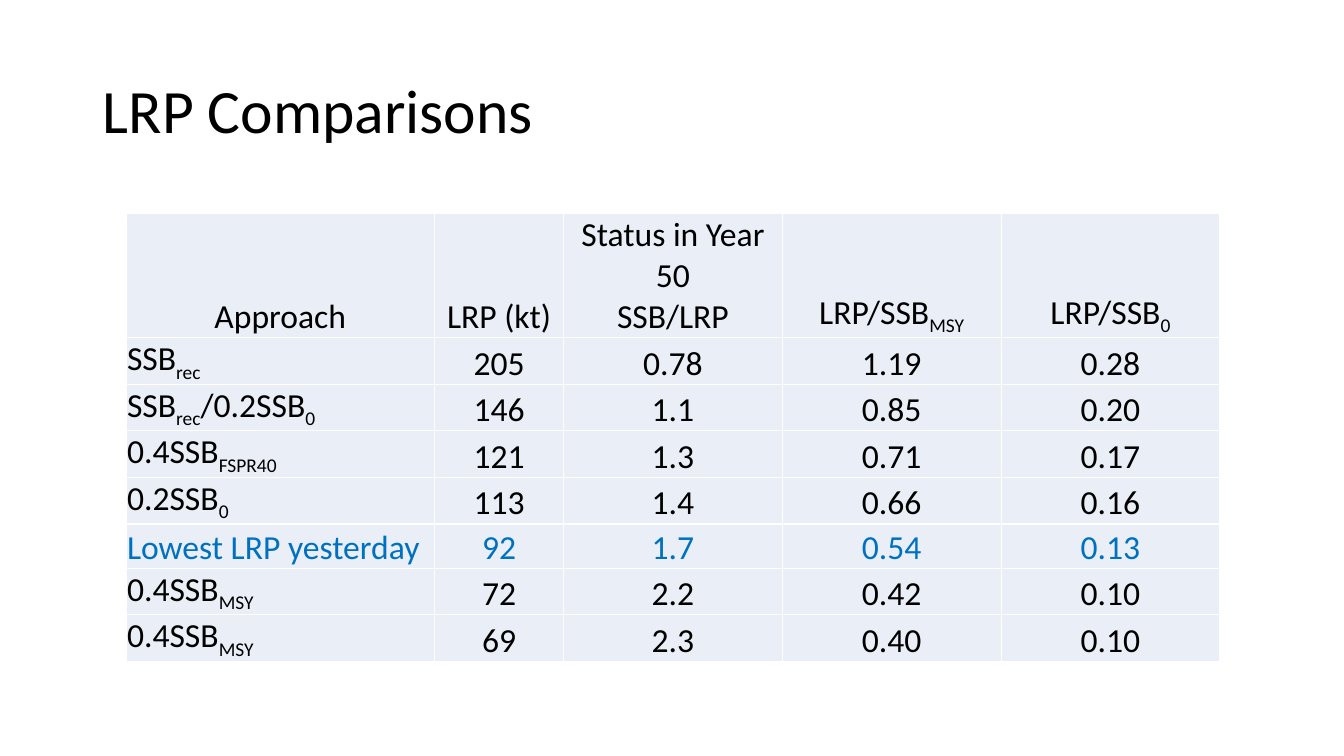
import dataclasses

import lxml.etree
import pptx
import pptx.dml.color
import pptx.enum.text
import pptx.oxml.ns
import pptx.util

PX = 9144  # EMU in one px, 100 px to the inch
FONT = "Calibri"
BLACK, BLUE, WHITE, PALE = "000000", "0070C0", "FFFFFF", "EAEFF7"
ALIGN = pptx.enum.text.PP_ALIGN
ANCHOR = pptx.enum.text.MSO_ANCHOR


@dataclasses.dataclass
class Row:
    cells: tuple[str, ...]
    color: str = BLACK
    first: ALIGN = ALIGN.LEFT
    height: int = 44


# Text between underscores is subscript
ROWS = [
    Row(("Approach", "LRP (kt)", "Status in Year 50\nSSB/LRP", "LRP/SSB_MSY_", "LRP/SSB_0_"),
        first=ALIGN.CENTER, height=83),
    Row(("SSB_rec_", "205", "0.78", "1.19", "0.28")),
    Row(("SSB_rec_/0.2SSB_0_", "146", "1.1", "0.85", "0.20")),
    Row(("0.4SSB_FSPR40_", "121", "1.3", "0.71", "0.17")),
    Row(("0.2SSB_0_", "113", "1.4", "0.66", "0.16")),
    Row(("Lowest LRP yesterday", "92", "1.7", "0.54", "0.13"), color=BLUE),
    Row(("0.4SSB_MSY_", "72", "2.2", "0.42", "0.10")),
    Row(("0.4SSB_MSY_", "69", "2.3", "0.40", "0.10")),
]
WIDTHS = (306, 128, 217, 217, 217)


def px(size: int) -> int:
    return pptx.util.Emu(size * PX)


def rgb(code: str) -> pptx.dml.color.RGBColor:
    return pptx.dml.color.RGBColor.from_string(code)


def write(frame, text: str, *, size: int, color: str = BLACK,
          align: ALIGN = ALIGN.LEFT, space: float = 1.0) -> None:
    for i, line in enumerate(text.split("\n")):
        para = frame.add_paragraph() if i else frame.paragraphs[0]
        para.alignment = align
        para.line_spacing = space
        for j, part in enumerate(line.split("_")):
            if not part:
                continue
            run = para.add_run()
            run.text = part
            run.font.name = FONT
            run.font.size = pptx.util.Pt(size)
            run.font.color.rgb = rgb(color)
            if j % 2:
                run._r.get_or_add_rPr().set("baseline", "-25000")


def border(cell, color: str, width: int) -> None:
    props = cell._tc.get_or_add_tcPr()
    qn = pptx.oxml.ns.qn
    for side in "LRTB":
        line = lxml.etree.SubElement(props, qn(f"a:ln{side}"), w=str(pptx.util.Pt(width)))
        fill = lxml.etree.SubElement(line, qn("a:solidFill"))
        lxml.etree.SubElement(fill, qn("a:srgbClr"), val=color)


def head(slide, text: str) -> None:
    title = slide.shapes.title
    title.left, title.top, title.width, title.height = map(px, (92, 40, 1150, 145))
    frame = title.text_frame
    frame.auto_size = pptx.enum.text.MSO_AUTO_SIZE.NONE
    frame.vertical_anchor = ANCHOR.MIDDLE
    write(frame, text, size=44, space=0.9)


def grid(slide, rows: list[Row]) -> None:
    shape = slide.shapes.add_table(
        len(rows), len(WIDTHS), px(125), px(212), px(sum(WIDTHS)), px(429))
    table = shape.table
    table.first_row = table.horz_banding = False
    for col, width in zip(table.columns, WIDTHS):
        col.width = px(width)
    for line, row in zip(table.rows, rows):
        line.height = px(row.height)
        for i, (cell, text) in enumerate(zip(line.cells, row.cells)):
            border(cell, WHITE, 1)
            cell.fill.solid()
            cell.fill.fore_color.rgb = rgb(PALE)
            cell.vertical_anchor = ANCHOR.BOTTOM
            cell.margin_left = cell.margin_right = cell.margin_top = px(1)
            cell.margin_bottom = 0
            write(cell.text_frame, text, size=24, color=row.color,
                  align=ALIGN.CENTER if i else row.first)
    shape.height = px(429)


def main() -> None:
    deck = pptx.Presentation()
    deck.slide_width, deck.slide_height = px(1333), px(750)
    slide = deck.slides.add_slide(deck.slide_layouts.get_by_name("Title Only"))
    head(slide, "LRP Comparisons")
    grid(slide, ROWS)
    deck.save("out.pptx")


if __name__ == "__main__":
    main()
